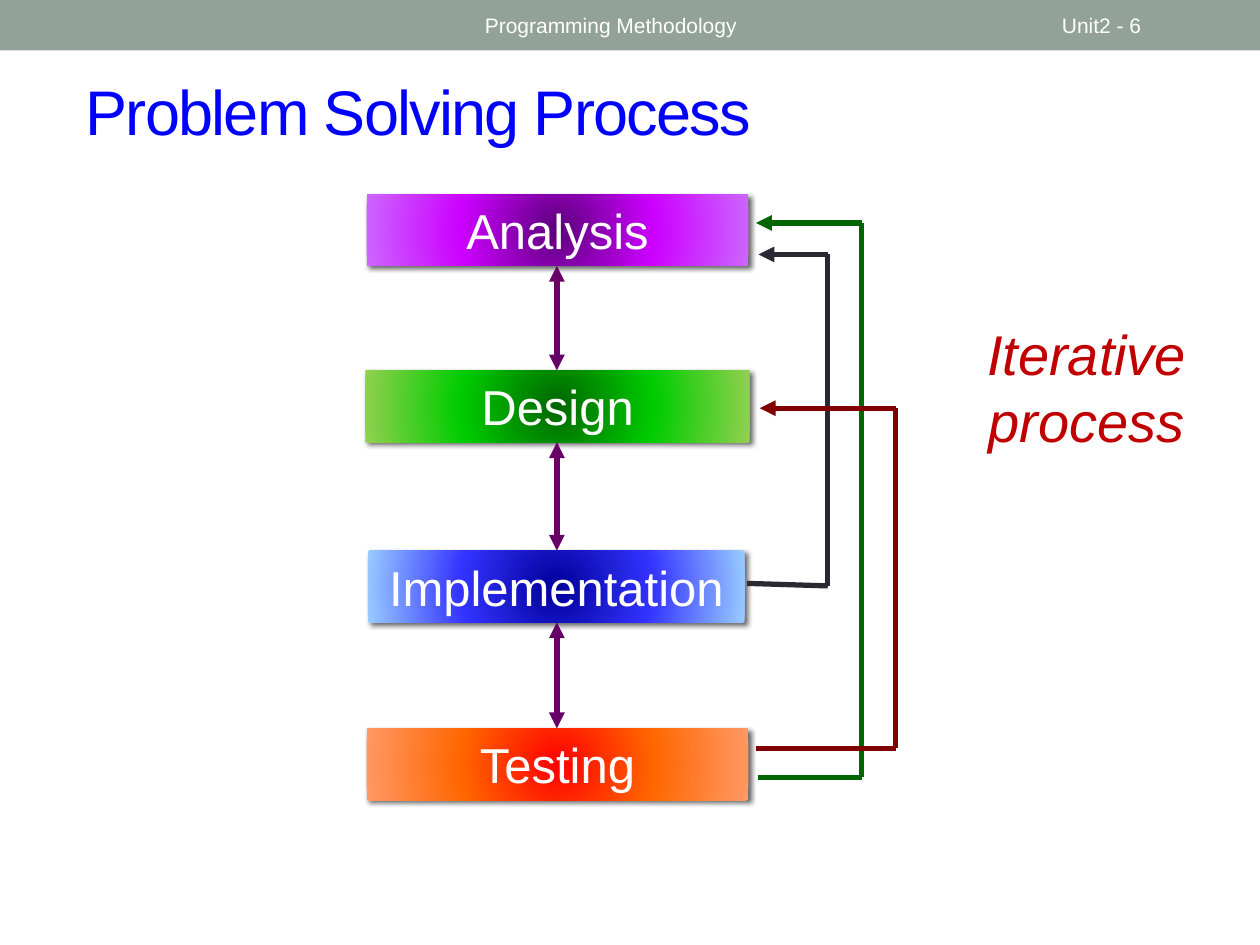
"""Build the Problem Solving Process slide."""
from dataclasses import dataclass
from itertools import pairwise

import lxml.etree
import pptx
import pptx.dml.color
import pptx.enum.shapes
import pptx.enum.text
import pptx.oxml
import pptx.oxml.ns
import pptx.util

Inches = pptx.util.Inches
Align = pptx.enum.text.PP_ALIGN
Point = tuple[float, float]
NAMESPACE = pptx.oxml.ns.nsdecls("a")
qualified = pptx.oxml.ns.qn


@dataclass(frozen=True)
class Theme:
    """Colours, type sizes and line weight of the slide."""
    font: str = "Arial"
    band: str = "93A299"
    title: str = "0000FF"
    light: str = "FFFFFF"
    accent: str = "C00000"
    step_arrow: str = "660066"
    header_size: int = 12
    stage_size: int = 28
    note_size: int = 32
    title_size: int = 36
    line_width: int = 3


@dataclass(frozen=True)
class Stage:
    """One stage box with its radial colours, centre first."""
    name: str
    left: float
    top: float
    width: float
    colours: tuple[str, str, str]


@dataclass(frozen=True)
class Feedback:
    """A bent return arrow from a later stage to an earlier one."""
    colour: str
    points: tuple[Point, ...]


THEME = Theme()
SLIDE_WIDTH, SLIDE_HEIGHT = 10, 7.5
STAGE_HEIGHT = 0.57
AXIS = 4.42
STAGES = (
    Stage("Analysis", 2.91, 1.54, 3.03, ("5B0079", "CC00FF", "CC66FF")),
    Stage("Design", 2.9, 2.94, 3.05, ("006600", "00CC00", "92D050")),
    Stage("Implementation", 2.92, 4.37, 2.99, ("000099", "3333FF", "99CCFF")),
    Stage("Testing", 2.91, 5.78, 3.03, ("FF0000", "FF6600", "FF9966")),
)
FEEDBACKS = (
    Feedback("292934", ((5.93, 4.63), (6.57, 4.65), (6.57, 2.02), (6.02, 2.02))),
    Feedback("006600", ((6.02, 6.17), (6.84, 6.17), (6.84, 1.77), (6, 1.77))),
    Feedback("800000", ((6, 5.94), (7.11, 5.94), (7.11, 3.24), (6.03, 3.24))),
)


def rgb(value: str) -> pptx.dml.color.RGBColor:
    """Turn a hex string into a colour."""
    return pptx.dml.color.RGBColor.from_string(value)


def write(shape, text: str, size: int, colour: str, align=Align.LEFT,
          italic: bool = False, wrap: bool = True) -> None:
    """Put formatted, vertically centred text into a shape."""
    frame = shape.text_frame
    frame.text = text
    frame.word_wrap = wrap
    frame.auto_size = pptx.enum.text.MSO_AUTO_SIZE.NONE
    frame.vertical_anchor = pptx.enum.text.MSO_ANCHOR.MIDDLE
    for paragraph in frame.paragraphs:
        paragraph.alignment = align
        for run in paragraph.runs:
            run.font.name = THEME.font
            run.font.size = pptx.util.Pt(size)
            run.font.italic = italic
            run.font.color.rgb = rgb(colour)


def add_text(slide, text: str, box: tuple[float, ...], size: int,
             colour: str, **style) -> None:
    """Add a text box at left, top, width, height."""
    shape = slide.shapes.add_textbox(*map(Inches, box))
    write(shape, text, size, colour, **style)


def add_rectangle(slide, left: float, top: float, width: float, height: float):
    """Add a rectangle without outline or theme shadow."""
    shape = slide.shapes.add_shape(
        pptx.enum.shapes.MSO_SHAPE.RECTANGLE, *map(Inches, (left, top, width, height)))
    shape.shadow.inherit = False
    shape.line.fill.background()
    return shape


def add_stage(slide, stage: Stage) -> None:
    """Add a stage box with a radial gradient and a soft shadow."""
    shape = add_rectangle(slide, stage.left, stage.top, stage.width, STAGE_HEIGHT)
    stops = "".join(
        f'<a:gs pos="{index * 50000}"><a:srgbClr val="{colour}"/></a:gs>'
        for index, colour in enumerate(stage.colours))
    gradient = pptx.oxml.parse_xml(
        f'<a:gradFill {NAMESPACE} rotWithShape="1"><a:gsLst>{stops}</a:gsLst>'
        '<a:path path="circle"><a:fillToRect l="50000" t="50000" r="50000" b="50000"/>'
        '</a:path></a:gradFill>')
    properties = shape._element.spPr
    properties.find(qualified("a:prstGeom")).addnext(gradient)
    shadow = pptx.oxml.parse_xml(
        f'<a:outerShdw {NAMESPACE} blurRad="38100" dist="25400" dir="2700000" '
        'algn="ctr" rotWithShape="0"><a:srgbClr val="000000"><a:alpha val="60000"/>'
        '</a:srgbClr></a:outerShdw>')
    properties.find(qualified("a:effectLst")).append(shadow)
    write(shape, stage.name, THEME.stage_size, THEME.light, Align.CENTER, wrap=False)


def add_line(slide, start: Point, end: Point, colour: str,
             heads: tuple[str, ...] = ()) -> None:
    """Add a straight line with triangles at the named ends."""
    connector = slide.shapes.add_connector(
        pptx.enum.shapes.MSO_CONNECTOR.STRAIGHT, *map(Inches, start + end))
    connector.line.color.rgb = rgb(colour)
    connector.line.width = pptx.util.Pt(THEME.line_width)
    outline = connector.line._get_or_add_ln()
    for head in heads:
        lxml.etree.SubElement(outline, qualified(f"a:{head}"), type="triangle")
    lxml.etree.SubElement(connector._element.spPr, qualified("a:effectLst"))


def add_feedback(slide, feedback: Feedback) -> None:
    """Add the segments of a return arrow, with a head on the last."""
    for start, end in pairwise(feedback.points):
        heads = ("tailEnd",) if end == feedback.points[-1] else ()
        add_line(slide, start, end, feedback.colour, heads)


def add_title(slide, text: str) -> None:
    """Place and format the title placeholder."""
    title = slide.shapes.title
    title.left, title.top, title.width, title.height = map(
        Inches, (0.58, 0.5, 6.52, 0.75))
    write(title, text, THEME.title_size, THEME.title)
    for run in title.text_frame.paragraphs[0].runs:
        run._r.get_or_add_rPr().set("spc", "-100")


def main() -> None:
    """Build and save the presentation."""
    presentation = pptx.Presentation()
    presentation.slide_width = Inches(SLIDE_WIDTH)
    presentation.slide_height = Inches(SLIDE_HEIGHT)
    slide = presentation.slides.add_slide(presentation.slide_layouts[5])
    band = add_rectangle(slide, 0, 0, SLIDE_WIDTH, 0.4)
    band.fill.solid()
    band.fill.fore_color.rgb = rgb(THEME.band)
    add_title(slide, "Problem Solving Process")
    for text, left, width in (("Programming Methodology", 3.75, 4.5),
                              ("Unit2 - 6", 8.33, 1.17)):
        add_text(slide, text, (left, 0.02, width, 0.36), THEME.header_size, THEME.light)
    for stage in STAGES:
        add_stage(slide, stage)
    for upper, lower in pairwise(STAGES):
        add_line(slide, (AXIS, upper.top + STAGE_HEIGHT), (AXIS, lower.top),
                 THEME.step_arrow, ("headEnd", "tailEnd"))
    for feedback in FEEDBACKS:
        add_feedback(slide, feedback)
    add_text(slide, "Iterative process", (7.5, 2.48, 2.25, 1.18), THEME.note_size,
             THEME.accent, align=Align.CENTER, italic=True)
    presentation.save("out.pptx")


main()
